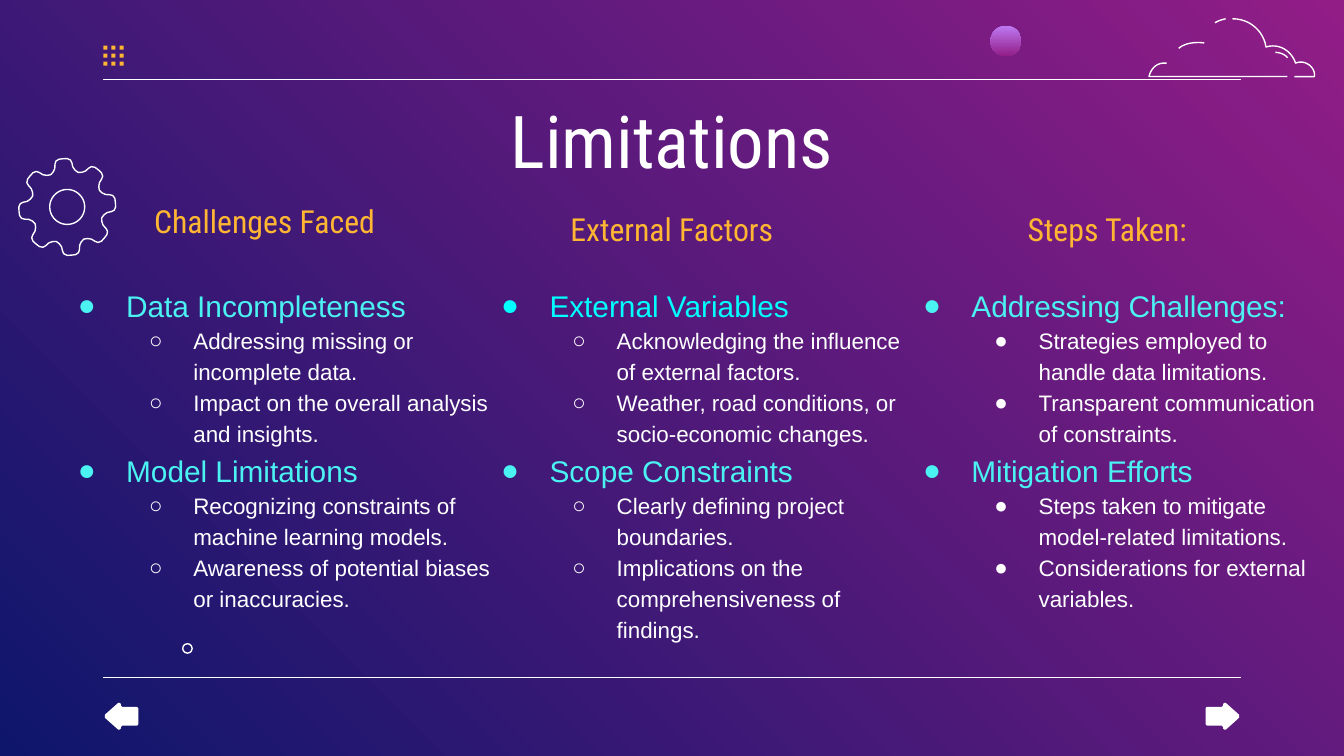
from math import cos, sin, radians

from lxml.etree import SubElement
from pptx import Presentation
from pptx.dml.color import RGBColor
from pptx.enum.shapes import MSO_CONNECTOR as LINK, MSO_SHAPE as SHAPE
from pptx.enum.text import MSO_ANCHOR as ANCHOR, MSO_AUTO_SIZE as FIT, PP_ALIGN as ALIGN
from pptx.oxml.ns import qn
from pptx.util import Inches, Pt

COLORS = {"white": "FFFFFF", "gold": "FFB632", "aqua": "4BF2F2", "cyan": "00FFFF",
          "plum": "921D87", "navy": "0E166C", "lilac": "BE7AF3"}
HEAD, BODY = "Roboto Condensed", "Arial"

# Heading, its box, the list's box, base indent, sub-bullet, topics
COLUMNS = [
    ("Challenges Faced", (0.52, 1.29, 2.9, 0.71), (-0.16, 2, 4.08, 2.91), 1, "○", [
        ("Data Incompleteness", "aqua",
         ["Addressing missing or incomplete data.",
          "Impact on the overall analysis and insights."]),
        ("Model Limitations", "aqua",
         ["Recognizing constraints of machine learning models.",
          "Awareness of potential biases or inaccuracies."])]),
    ("Steps Taken:", (7.21, 1.22, 2.06, 0.97), (6.63, 2, 3.37, 2.64), 0.5, "●", [
        ("Addressing Challenges:", "aqua",
         ["Strategies employed to handle data limitations.",
          "Transparent communication of constraints."]),
        ("Mitigation Efforts", "aqua",
         ["Steps taken to mitigate model-related limitations.",
          "Considerations for external variables."])]),
    ("External Factors", (3.97, 1.22, 2.06, 0.97), (3.49, 2, 3.48, 3.45), 0.5, "○", [
        ("External Variables", "cyan",
         ["Acknowledging the influence of external factors.",
          "Weather, road conditions, or socio-economic changes."]),
        ("Scope Constraints", "aqua",
         ["Clearly defining project boundaries.",
          "Implications on the comprehensiveness of findings."])]),
]

# Each stroke: a start point, then segments of one point (line) or three (curve)
CLOUD = [
    [(9.17, 0.14), [(9.3, 0.14), (9.4, 0.23), (9.42, 0.35)],
     [(9.52, 0.32), (9.61, 0.38), (9.64, 0.47)],
     [(9.71, 0.44), (9.79, 0.5), (9.78, 0.57)], [(9.63, 0.57)]],
    [(9.12, 0.14), [(9.12, 0.14), (9.07, 0.15), (9.04, 0.17)]],
    [(9.58, 0.57), [(8.55, 0.57)], [(8.55, 0.57), (8.57, 0.46), (8.68, 0.47)]],
    [(9.49, 0.39), [(9.49, 0.39), (9.55, 0.39), (9.58, 0.43)]],
    [(8.96, 0.32), [(8.96, 0.32), (8.84, 0.3), (8.77, 0.36)]],
]
# Right arrow about its centre: upper half, from tip to tail
ARROW = [(0.12, -0.01), (0.11, -0.02), (0.02, -0.1), (0.01, -0.1), (0, -0.09),
         (0, -0.08), (-0.01, -0.07), (-0.12, -0.07), (-0.13, -0.06)]
# Half a gear tooth: degrees from its middle, radius
TOOTH = [(0, 0.36), (5, 0.36), (9, 0.35), (11, 0.33), (13, 0.3), (17, 0.28), (22, 0.27)]


def color(name):
    return RGBColor.from_string(COLORS[name])


def blend(fill, first, last, angle):
    fill.gradient()
    fill.gradient_angle = angle
    for stop, name in zip(fill.gradient_stops, (first, last)):
        stop.color.rgb = color(name)


def paint(shape, fill=None, line=None):
    shape.shadow.inherit = False
    if fill:
        shape.fill.solid()
        shape.fill.fore_color.rgb = color(fill)
    else:
        shape.fill.background()
    if line:
        shape.line.color.rgb = color(line)
        shape.line.width = Pt(0.75)
    else:
        shape.line.fill.background()


def add_preset(shapes, kind, box, fill=None, line=None):
    shape = shapes.add_shape(kind, *map(Inches, box))
    paint(shape, fill, line)
    return shape


def add_outline(shapes, rings, close=True, fill=None, line=None):
    """Draw one freeform from lists of points in inches."""
    rings = [[(Inches(x), Inches(y)) for x, y in ring] for ring in rings]
    pen = shapes.build_freeform(*rings[0][0])
    for i, ring in enumerate(rings):
        if i:
            pen.move_to(*ring[0])
        pen.add_line_segments(ring[1:], close=close)
    paint(pen.convert_to_shape(), fill, line)


def trace(stroke, steps=12):
    """Turn a stroke of lines and cubic curves into points."""
    points = [stroke[0]]
    for part in stroke[1:]:
        if len(part) == 1:
            points += part
            continue
        knots = [points[-1], *part]
        for i in range(1, steps + 1):
            t = i / steps
            rates = ((1 - t) ** 3, 3 * t * (1 - t) ** 2, 3 * t * t * (1 - t), t ** 3)
            points.append(tuple(sum(r * k[axis] for r, k in zip(rates, knots))
                                for axis in (0, 1)))
    return points


def add_gear(shapes, x, y):
    def ring(spots):
        return [(x + r * cos(radians(a)), y + r * sin(radians(a))) for a, r in spots]

    tooth = [(-a, r) for a, r in TOOTH[:0:-1]] + TOOTH
    rim = [(45 * i - 5 + a, r) for i in range(8) for a, r in tooth]
    hole = [(a, 0.13) for a in range(0, 360, 6)]
    add_outline(shapes, [ring(rim), ring(hole)], line="white")


def add_arrow(shapes, x, y, way):
    """Draw a block arrow; way is 1 for right and -1 for left."""
    half = [(x + way * dx, dy) for dx, dy in ARROW]
    points = [(px, y + dy) for px, dy in half] + [(px, y - dy) for px, dy in half[::-1]]
    add_outline(shapes, [points], fill="white")


def add_rule(shapes, y):
    rule = shapes.add_connector(LINK.STRAIGHT, Inches(0.77), Inches(y), Inches(9.23), Inches(y))
    rule.line.color.rgb = color("white")
    rule.line.width = Pt(0.75)
    SubElement(rule._element.spPr, qn("a:effectLst"))


def set_frame(frame, anchor):
    frame.word_wrap = True
    frame.auto_size = FIT.NONE
    frame.vertical_anchor = anchor
    frame.margin_left = frame.margin_right = Inches(0.1)
    frame.margin_top = frame.margin_bottom = Inches(0.1)


def set_font(para, face, size, name):
    para.font.name = face
    para.font.size = Pt(size)
    para.font.color.rgb = color(name)


def add_box(shapes, box, anchor=ANCHOR.TOP):
    frame = shapes.add_textbox(*map(Inches, box)).text_frame
    set_frame(frame, anchor)
    return frame


def add_heading(shapes, text, box):
    para = add_box(shapes, box, ANCHOR.MIDDLE).paragraphs[0]
    para.text = text
    para.alignment = ALIGN.CENTER
    set_font(para, HEAD, 17, "gold")


def set_bullet(para, mark, name, left, hang):
    props = para._p.get_or_add_pPr()
    props.set("marL", str(Inches(left)))
    props.set("indent", str(-Inches(hang)))
    tint = SubElement(props, qn("a:buClr"))
    SubElement(tint, qn("a:srgbClr"), val=COLORS[name])
    SubElement(props, qn("a:buFont"), typeface=BODY)
    SubElement(props, qn("a:buChar"), char=mark)


def add_list(shapes, box, left, mark, topics):
    frame = add_box(shapes, box)
    rows = []
    for topic, name, points in topics:
        rows.append((topic, 0, "●", name, left, 0.36, 16))
        rows += [(point, 1, mark, "white", left + 0.5, 0.33, 12) for point in points]
    for i, (text, level, sign, name, start, hang, size) in enumerate(rows):
        para = frame.add_paragraph() if i else frame.paragraphs[0]
        para.text = text
        para.level = level
        set_bullet(para, sign, name, start, hang)
        para.line_spacing = 1.15
        set_font(para, BODY, size, name)


def add_title(slide, text):
    title = slide.shapes.title
    title.left, title.top, title.width, title.height = map(Inches, (0.78, 0.61, 8.44, 0.66))
    title.text = text
    set_frame(title.text_frame, ANCHOR.TOP)
    para = title.text_frame.paragraphs[0]
    para.alignment = ALIGN.CENTER
    set_font(para, HEAD, 39, "white")


def main():
    deck = Presentation()
    deck.slide_width = Inches(10)
    deck.slide_height = deck.slide_width * 9 // 16
    slide = deck.slides.add_slide(deck.slide_layouts[5])
    shapes = slide.shapes
    blend(slide.background.fill, "plum", "navy", 225)
    add_title(slide, "Limitations")

    ball = add_preset(shapes, SHAPE.OVAL, (7.37, 0.19, 0.23, 0.23))
    blend(ball.fill, "lilac", "plum", 270)
    for y in (0.59, 5.04):
        add_rule(shapes, y)
    add_preset(shapes, SHAPE.OVAL, (1.36, 4.79, 0.07, 0.07), line="white")
    add_arrow(shapes, 9.1, 5.33, 1)
    add_arrow(shapes, 0.9, 5.33, -1)

    dots = shapes.add_group_shape().shapes
    for i in range(9):
        spot = (0.77 + i // 3 * 0.06, 0.34 + i % 3 * 0.06, 0.03, 0.03)
        add_preset(dots, SHAPE.RECTANGLE, spot, fill="gold")

    for text, head, body, left, mark, topics in COLUMNS:
        add_list(shapes, body, left, mark, topics)
        add_heading(shapes, text, head)

    add_gear(shapes, 0.5, 1.54)
    cloud = shapes.add_group_shape().shapes
    for stroke in CLOUD:
        add_outline(cloud, [trace(stroke)], close=False, line="white")
    deck.save("out.pptx")


if __name__ == "__main__":
    main()
